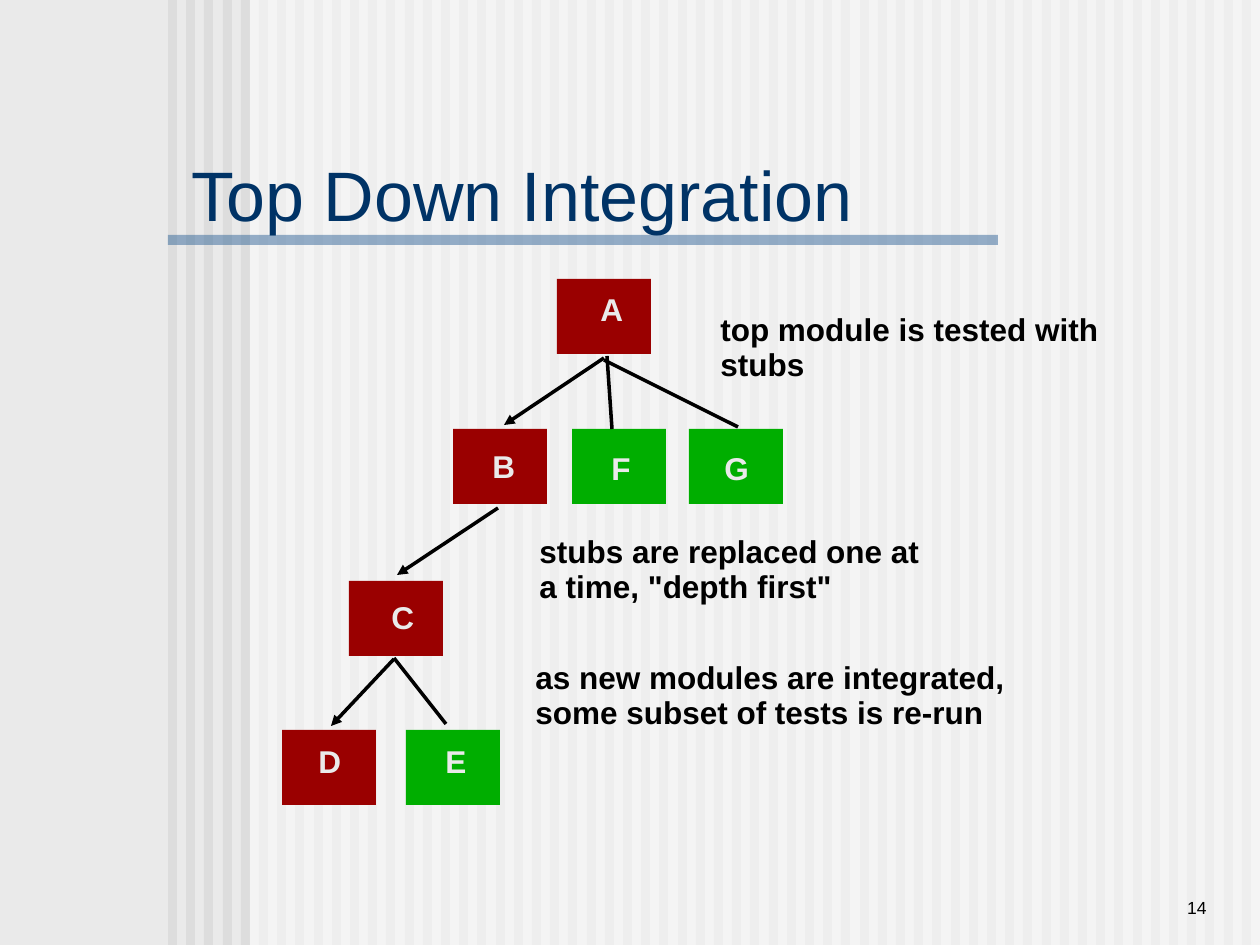
import lxml.etree
import pptx
import pptx.dml.color
import pptx.enum.shapes
import pptx.enum.text
import pptx.oxml.ns
import pptx.util

PX = 914400 / 126
PAGE_WIDTH, PAGE_HEIGHT = 1260, 945
RED, GREEN = "9A0000", "00AE00"
BLACK, PALE = "000000", "EAEAEA"
MODULE_WIDTH, MODULE_HEIGHT = 94, 75
LABEL_HEIGHT, LINE_PITCH = 50, 35
STRIPE_COUNT, STRIPE_LEFT, STRIPE_PITCH, STRIPE_WIDTH = 60, 168, 18.2, 9

TITLE = "Top Down Integration"
PAGE_NUMBER = "14"

# name, left, top, colour, label left, label top, label width
MODULES = [
    ("A", 557, 279, RED, 588, 284, 48),
    ("B", 453, 429, RED, 480, 441, 48),
    ("C", 349, 581, RED, 379, 592, 48),
    ("D", 282, 730, RED, 306, 736, 48),
    ("E", 406, 730, GREEN, 433, 736, 47),
    ("F", 572, 429, GREEN, 599, 443, 44),
    ("G", 689, 429, GREEN, 712, 443, 49),
]

NOTES = [
    (708, 304, [("top module is tested with", 412), ("stubs", 110)]),
    (527, 526, [("stubs are replaced one at", 413), ('a time, "depth first"', 318)]),
    (523, 652, [("as new modules are integrated,", 503),
                ("some subset of tests is re-run", 474)]),
]

LINKS = [
    (394, 658, 446, 724, False),
    (607, 356, 612, 429, False),
    (604, 360, 738, 427, False),
    (604, 358, 504, 425, True),
    (498, 508, 397, 575, True),
    (394, 659, 331, 726, True),
]


def emu(*lengths):
    return [round(length * PX) for length in lengths]


def colour(value):
    return pptx.dml.color.RGBColor.from_string(value)


def add_rectangle(page, left, top, width, height, fill, alpha=None):
    box = page.shapes.add_shape(
        pptx.enum.shapes.MSO_SHAPE.RECTANGLE, *emu(left, top, width, height))
    box.shadow.inherit = False
    box.line.fill.background()
    box.fill.solid()
    box.fill.fore_color.rgb = colour(fill)
    if alpha:
        tint = box.fill._xPr.find(".//" + pptx.oxml.ns.qn("a:srgbClr"))
        lxml.etree.SubElement(tint, pptx.oxml.ns.qn("a:alpha"), val=str(alpha * 1000))


def format_text(box, size, text_colour, bold=False):
    for para in box.text_frame.paragraphs:
        for span in para.runs:
            span.font.name = "Arial"
            span.font.size = pptx.util.Pt(size)
            span.font.bold = bold
            span.font.color.rgb = colour(text_colour)


def add_text(page, text, left, top, width, height, size, text_colour, bold=False):
    box = page.shapes.add_textbox(*emu(left, top, width, height))
    box.text_frame.text = text
    box.text_frame.word_wrap = False
    format_text(box, size, text_colour, bold)
    return box


def add_link(page, start_x, start_y, end_x, end_y, arrow):
    link = page.shapes.add_connector(
        pptx.enum.shapes.MSO_CONNECTOR.STRAIGHT, *emu(start_x, start_y, end_x, end_y))
    link.line.color.rgb = colour(BLACK)
    link.line.width = pptx.util.Pt(2)
    if arrow:
        lxml.etree.SubElement(
            link.line._get_or_add_ln(), pptx.oxml.ns.qn("a:tailEnd"), type="triangle")
    lxml.etree.SubElement(link._element.spPr, pptx.oxml.ns.qn("a:effectLst"))


def add_backdrop(page):
    page.background.fill.solid()
    page.background.fill.fore_color.rgb = colour(PALE)
    for index in range(STRIPE_COUNT):
        left = STRIPE_LEFT + round(index * STRIPE_PITCH)
        add_rectangle(page, left, 0, STRIPE_WIDTH, PAGE_HEIGHT, "DDDDDD")
    add_rectangle(page, 250, 0, 1010, PAGE_HEIGHT, "FFFFFF", 50)
    add_rectangle(page, STRIPE_LEFT, 235, 830, 10, "336699", 50)


def add_title(page):
    title = page.shapes.title
    title.left, title.top, title.width, title.height = emu(179, 158, 730, 72)
    title.text_frame.text = TITLE
    title.text_frame.vertical_anchor = pptx.enum.text.MSO_ANCHOR.MIDDLE
    title.text_frame.auto_size = pptx.enum.text.MSO_AUTO_SIZE.NONE
    title.text_frame.paragraphs[0].alignment = pptx.enum.text.PP_ALIGN.LEFT
    format_text(title, 40, "003366")
    page.shapes._spTree.append(title._element)


def main():
    deck = pptx.Presentation()
    deck.slide_width, deck.slide_height = emu(PAGE_WIDTH, PAGE_HEIGHT)
    page = deck.slides.add_slide(deck.slide_layouts[5])
    add_backdrop(page)
    add_title(page)
    for name, left, top, fill, *_ in MODULES:
        add_rectangle(page, left, top, MODULE_WIDTH, MODULE_HEIGHT, fill)
    for link in LINKS:
        add_link(page, *link)
    for left, top, lines in NOTES:
        for index, (text, width) in enumerate(lines):
            add_text(page, text, left, top + index * LINE_PITCH, width, LABEL_HEIGHT,
                     18, BLACK, True)
    for name, _, _, _, left, top, width in MODULES:
        add_text(page, name, left, top, width, LABEL_HEIGHT, 18, PALE, True)
    number = add_text(page, PAGE_NUMBER, 1040, 861, 179, 63, 10, BLACK)
    number.text_frame.word_wrap = True
    number.text_frame.vertical_anchor = pptx.enum.text.MSO_ANCHOR.BOTTOM
    number.text_frame.paragraphs[0].alignment = pptx.enum.text.PP_ALIGN.RIGHT
    deck.save("out.pptx")


if __name__ == "__main__":
    main()
